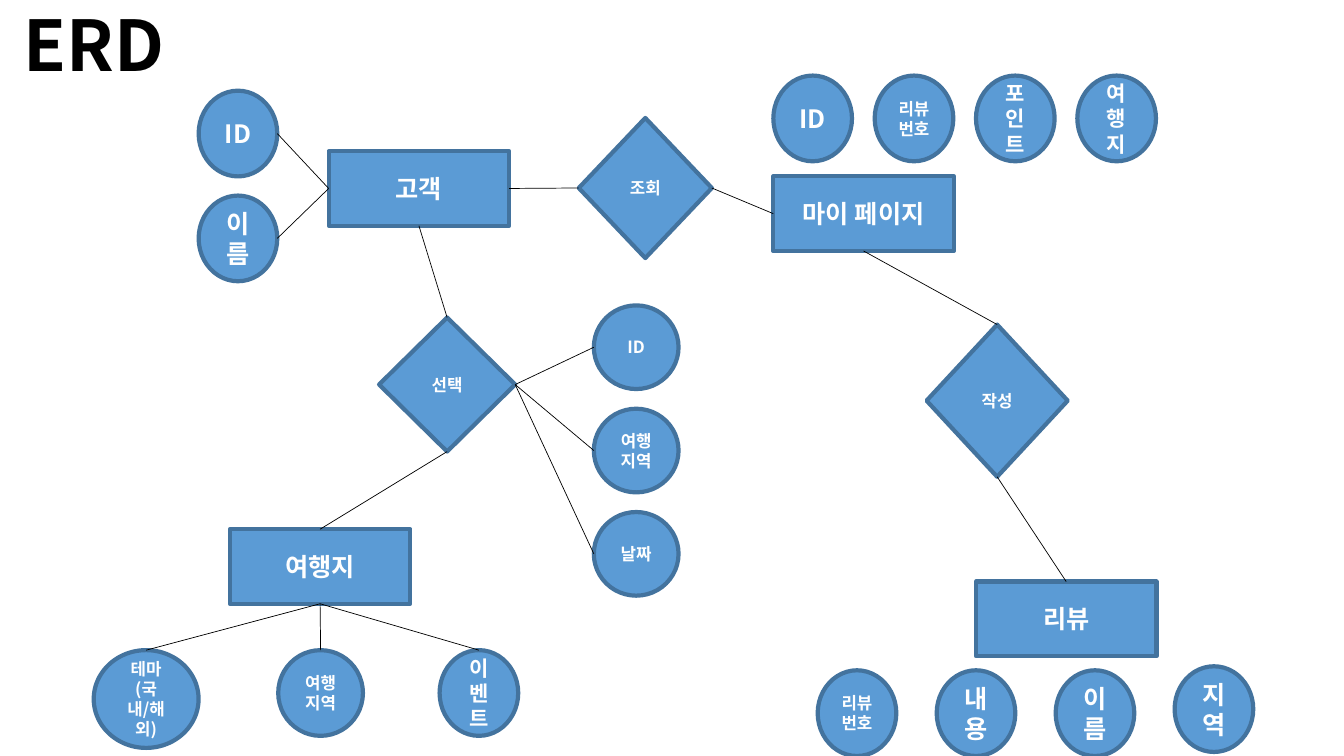
from pptx import Presentation
from pptx.dml.color import RGBColor
from pptx.enum.shapes import MSO_CONNECTOR as LINE, MSO_SHAPE as SHAPE
from pptx.enum.text import MSO_ANCHOR as ANCHOR, PP_ALIGN as ALIGN
from pptx.oxml.ns import qn
from pptx.util import Inches, Pt
from lxml.etree import SubElement

FONT = "Noto Sans CJK KR"
TOP, LEFT, BOTTOM, RIGHT = range(4)
ENTITY_W, ENTITY_H = 1.79, 0.74
OVAL_W, OVAL_H = 0.78, 0.85


def color(hex_code):
    """Turn a hex string into a colour."""
    return RGBColor.from_string(hex_code)


def write(frame, text, size=18, ink="FFFFFF", anchor=ANCHOR.MIDDLE):
    """Put one centred bold paragraph into a text frame."""
    frame.word_wrap = True
    frame.vertical_anchor = anchor
    paragraph = frame.paragraphs[0]
    paragraph.alignment = ALIGN.CENTER
    run = paragraph.add_run()
    run.text = text
    run.font.name, run.font.size, run.font.bold = FONT, Pt(size), True
    run.font.color.rgb = color(ink)
    SubElement(run.font._element, qn("a:ea")).set("typeface", FONT)


def node(slide, kind, text, box, size=18):
    """Draw one labelled part of the diagram in a box of inches."""
    part = slide.shapes.add_shape(kind, *map(Inches, box))
    part.shadow.inherit = False
    part.fill.solid()
    part.fill.fore_color.rgb = color("5B9BD5")
    part.line.color.rgb = color("43739E")
    part.line.width = Pt(3)
    write(part.text_frame, text, size)
    return part


def entity(slide, text, left, top):
    """Draw an entity rectangle of the common size."""
    return node(slide, SHAPE.RECTANGLE, text, (left, top, ENTITY_W, ENTITY_H))


def relation(slide, text, box):
    """Draw a relationship diamond."""
    return node(slide, SHAPE.DIAMOND, text, box, 12)


def attribute(slide, text, left, top, size=18, width=OVAL_W, height=OVAL_H):
    """Draw an attribute ellipse."""
    return node(slide, SHAPE.OVAL, text, (left, top, width, height), size)


def side_point(part, side):
    """Return the middle of a side of a part."""
    across = {LEFT: 0, RIGHT: part.width}.get(side, part.width // 2)
    down = {TOP: 0, BOTTOM: part.height}.get(side, part.height // 2)
    return part.left + across, part.top + down


def link(slide, start, start_side, end, end_side):
    """Join two parts with a thin straight line."""
    line = slide.shapes.add_connector(
        LINE.STRAIGHT, *side_point(start, start_side), *side_point(end, end_side))
    line.line.color.rgb = color("000000")
    line.line.width = Pt(0.5)
    SubElement(line._element.spPr, qn("a:effectLst"))
    if start.auto_shape_type != SHAPE.OVAL:
        line.begin_connect(start, start_side)
    if end.auto_shape_type != SHAPE.OVAL:
        line.end_connect(end, end_side)


def title(slide, left, top, width, height):
    """Write the slide heading."""
    heading = slide.shapes.add_textbox(*map(Inches, (left, top, width, height)))
    write(heading.text_frame, "ERD", 50, "000000", ANCHOR.TOP)


def customer_region(slide, left, top):
    """Draw the customer with its attributes on the left."""
    customer = entity(slide, "고객", left + 1.29, top + 0.6)
    for row, text in enumerate(("ID", "이름")):
        link(slide, customer, LEFT, attribute(slide, text, left, top + 1.04 * row), RIGHT)
    return customer


def my_page_region(slide, left, top):
    """Draw my page below its row of attributes."""
    fields = (("ID", 18), ("리뷰 번호", 12), ("포인트", 15), ("여행지", 15))
    for column, (text, size) in enumerate(fields):
        attribute(slide, text, left + 1.005 * column, top, size)
    return entity(slide, "마이 페이지", left, top + 1)


def selection_region(slide, left, top):
    """Draw the selection with its attributes on the right."""
    selection = relation(slide, "선택", (left, top + 0.12, 1.35, 1.33))
    for row, text in enumerate(("ID", "여행 지역", "날짜")):
        field = attribute(slide, text, left + 2.13, top + 1.025 * row, 12, 0.84, 0.83)
        link(slide, selection, RIGHT, field, LEFT)
    return selection


def destination_region(slide, left, top):
    """Draw the destination above its attributes."""
    destination = entity(slide, "여행지", left + 1.35, top)
    fields = (("테마(국내/해외)", 0, 12, 1.04, 0.97),
              ("여행 지역", 1.83, 12, 0.84, OVAL_H),
              ("이벤트", 3.43, 15, OVAL_W, OVAL_H))
    for text, offset, size, width, height in fields:
        field = attribute(slide, text, left + offset, top + 1.2, size, width, height)
        link(slide, destination, BOTTOM, field, TOP)
    return destination


def review_region(slide, left, top):
    """Draw the review above its row of attributes."""
    fields = (("리뷰 번호", 12, 0.88), ("내용", 18, 0.88),
              ("이름", 18, 0.88), ("지역", 18, 0.84))
    for column, (text, size, drop) in enumerate(fields):
        attribute(slide, text, left + 1.18 * column, top + drop, size)
    return entity(slide, "리뷰", left + 1.57, top)


def main():
    """Build the diagram slide and save it."""
    deck = Presentation()
    deck.slide_width, deck.slide_height = Inches(13.33), Inches(7.5)
    slide = deck.slides.add_slide(deck.slide_layouts[6])

    title(slide, 0, -0.03, 1.86, 0.94)
    customer = customer_region(slide, 1.97, 0.9)
    my_page = my_page_region(slide, 7.67, 0.75)
    selection = selection_region(slide, 3.76, 3.03)
    destination = destination_region(slide, 0.93, 5.25)
    review = review_region(slide, 8.11, 5.77)
    lookup = relation(slide, "조회", (5.74, 1.17, 1.32, 1.39))
    writing = relation(slide, "작성", (9.19, 3.22, 1.4, 1.51))

    link(slide, customer, RIGHT, lookup, LEFT)
    link(slide, lookup, RIGHT, my_page, LEFT)
    link(slide, my_page, BOTTOM, writing, TOP)
    link(slide, writing, BOTTOM, review, TOP)
    link(slide, customer, BOTTOM, selection, TOP)
    link(slide, selection, BOTTOM, destination, TOP)
    deck.save("out.pptx")


if __name__ == "__main__":
    main()
